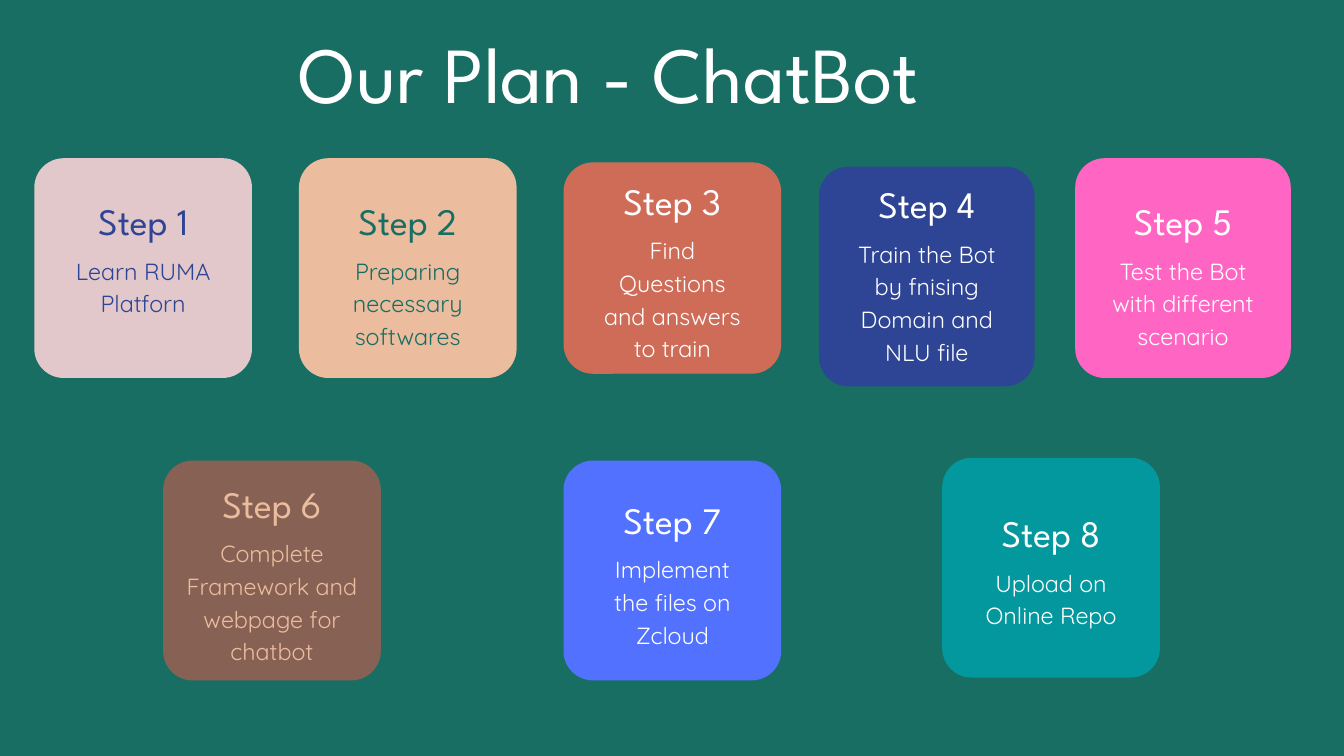
from pptx import Presentation
from pptx.dml.color import RGBColor
from pptx.enum.shapes import MSO_SHAPE as SHAPE
from pptx.enum.text import MSO_ANCHOR as ANCHOR, PP_ALIGN as ALIGN
from pptx.util import Emu, Pt

PX = 9525  # EMU per px, slide is 1920 x 1080 px
HEAD_FONT, BODY_FONT = "League Spartan", "Quicksand"
RADIUS = 42
LINE = 47  # height of a body line
BODY_DROP = 82  # from the top of a heading to its body

COLORS = {
    "green": "196E63", "navy": "2E4494", "rose": "E2C8CA", "peach": "ECBC9E",
    "coral": "CF6C58", "pink": "FF66C4", "brown": "876254", "blue": "5271FF",
    "teal": "03989E", "white": "FFFFFF", "offwhite": "FEFEFE",
}

# card box, fill, text colour, heading offset, text width, body lines, body
STEPS = [
    ((49, 226, 311, 314), "rose", "navy", 52, 204, 2, "Learn RUMA Platforn"),
    ((427, 226, 311, 314), "peach", "green", 52, 204, 3,
     "Preparing necessary softwares"),
    ((805, 232, 311, 302), "coral", "white", 17, 204, 4,
     "Find Questions and answers to train"),
    ((1170, 238, 308, 314), "navy", "white", 16, 204, 4,
     "Train the Bot by fnising Domain and NLU file"),
    ((1536, 226, 308, 314), "pink", "white", 52, 204, 3,
     "Test the Bot with different scenario"),
    ((233, 658, 311, 314), "brown", "peach", 24, 257, 4,
     "Complete Framework and webpage for chatbot"),
    ((805, 658, 311, 314), "blue", "offwhite", 47, 204, 3,
     "Implement the files on Zcloud"),
    ((1346, 654, 311, 314), "teal", "offwhite", 70, 204, 2,
     "Upload on Online Repo"),
]


def px(*values):
    return [Emu(round(v * PX)) for v in values]


def rgb(name):
    return RGBColor.from_string(COLORS[name])


def add_text(s, text, box, *, size, spacing, font, color, align=ALIGN.CENTER):
    tf = s.shapes.add_textbox(*px(*box)).text_frame
    tf.word_wrap = True
    tf.vertical_anchor = ANCHOR.TOP
    tf.margin_left = tf.margin_right = tf.margin_top = tf.margin_bottom = 0
    p = tf.paragraphs[0]
    p.alignment = align
    p.line_spacing = Pt(spacing)
    r = p.add_run()
    r.text = text
    r.font.size = Pt(size)
    r.font.name = font
    r.font.color.rgb = rgb(color)


def add_title(s, box):
    add_text(s, "Our Plan - ChatBot", box, size=85.1, spacing=110.7,
             font=HEAD_FONT, color="white", align=ALIGN.LEFT)


def add_step(s, number, box, fill, color, offset, text_w, lines, body):
    x, y, w, h = box
    # Card
    sp = s.shapes.add_shape(SHAPE.ROUNDED_RECTANGLE, *px(*box))
    sp.adjustments[0] = RADIUS / min(w, h)
    sp.shadow.inherit = False
    sp.fill.solid()
    sp.fill.fore_color.rgb = rgb(fill)
    sp.line.fill.background()
    # Heading and body, centred across the card
    left, top = x + (w - text_w) / 2, y + offset
    add_text(s, f"Step {number}", (left, top, text_w, 66),
             size=40, spacing=52, font=HEAD_FONT, color=color)
    add_text(s, body, (left, top + BODY_DROP, text_w, lines * LINE),
             size=25, spacing=35, font=BODY_FONT, color=color)


def main():
    prs = Presentation()
    prs.slide_width, prs.slide_height = px(1920, 1080)
    s = prs.slides.add_slide(prs.slide_layouts[6])
    s.background.fill.solid()
    s.background.fill.fore_color.rgb = rgb("green")

    add_title(s, (427, 23, 1189, 142))
    for number, step in enumerate(STEPS, 1):
        add_step(s, number, *step)
    prs.save("out.pptx")


if __name__ == "__main__":
    main()
